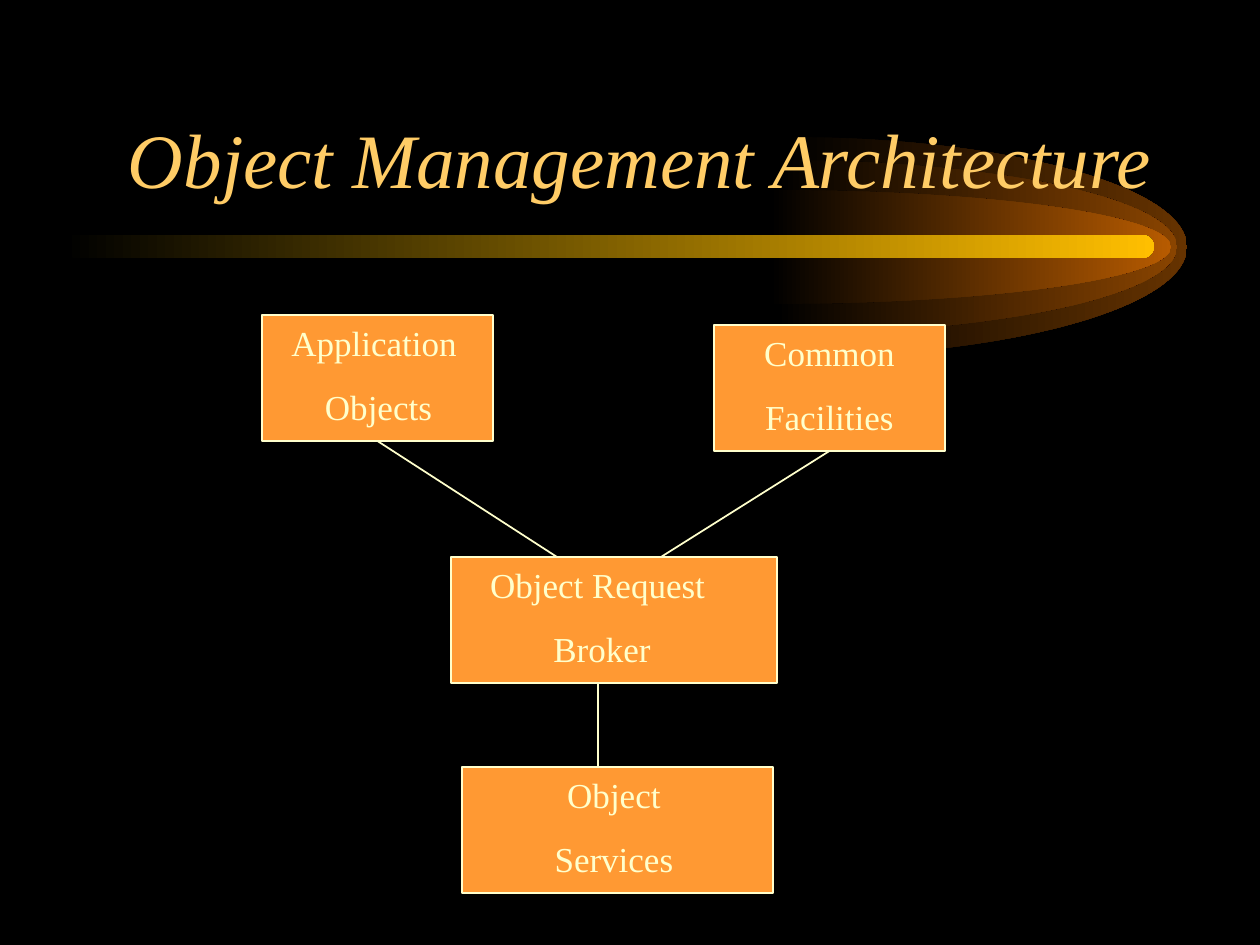
from lxml import etree
from pptx import Presentation
from pptx.dml.color import RGBColor
from pptx.enum.shapes import MSO_CONNECTOR, MSO_SHAPE
from pptx.enum.text import MSO_ANCHOR, PP_ALIGN
from pptx.oxml.ns import qn
from pptx.util import Emu, Pt

RECTANGLE = MSO_SHAPE.RECTANGLE
ROUNDED = MSO_SHAPE.ROUNDED_RECTANGLE
STRAIGHT = MSO_CONNECTOR.STRAIGHT
CENTER, RIGHT = PP_ALIGN.CENTER, PP_ALIGN.RIGHT
TOP, BOTTOM = MSO_ANCHOR.TOP, MSO_ANCHOR.BOTTOM

BLACK = RGBColor(0x00, 0x00, 0x00)
CREAM = RGBColor(0xFF, 0xFF, 0xCC)
ORANGE = RGBColor(0xFF, 0x99, 0x33)
GOLD = RGBColor(0xFF, 0xCC, 0x66)
AMBER = RGBColor(0xFF, 0xBF, 0x00)
DARK_BROWN = RGBColor(0x66, 0x33, 0x00)
BROWN = RGBColor(0x89, 0x44, 0x00)
RUST = RGBColor(0xB7, 0x5B, 0x00)

FONT = "Times New Roman"
PX_PER_INCH = 126
COMET_Y = 247
GLOW_WIDTH = 401
ROUNDNESS = 0.55  # control point distance for a quarter ellipse


def px(length):
    return Emu(round(length * 914400 / PX_PER_INCH))


def write_text(shape, lines, *, size, color, align, anchor=TOP, italic=False, gap=0):
    frame = shape.text_frame
    frame.word_wrap = True
    frame.vertical_anchor = anchor
    for index, line in enumerate(lines):
        para = frame.paragraphs[0] if index == 0 else frame.add_paragraph()
        para.alignment = align
        para.space_before = Pt(gap if index else 0)
        span = para.add_run()
        span.text = line
        span.font.name = FONT
        span.font.size = Pt(size)
        span.font.italic = italic
        span.font.color.rgb = color


def fade_from_black(shape, color):
    shape.shadow.inherit = False
    shape.line.fill.background()
    shape.fill.gradient()
    shape.fill.gradient_angle = 0
    for stop, stop_color in zip(shape.fill.gradient_stops, (BLACK, color)):
        stop.color.rgb = stop_color


def curve_segment(segment, points):
    """Turn a straight outline segment into a cubic curve."""
    curve = etree.Element(qn("a:cubicBezTo"))
    for x, y in points:
        etree.SubElement(curve, qn("a:pt"), x=str(round(x)), y=str(round(y)))
    segment.getparent().replace(segment, curve)


def add_glow(page, left, radius, color):
    """Right half of an ellipse, centred on the comet's axis."""
    width, half = px(GLOW_WIDTH), px(radius)
    builder = page.shapes.build_freeform(px(left), px(COMET_Y - radius))
    builder.add_line_segments([(px(left + GLOW_WIDTH), px(COMET_Y)),
                               (px(left), px(COMET_Y + radius))], close=True)
    glow = builder.convert_to_shape()
    upper, lower = list(glow.element.iter(qn("a:lnTo")))
    reach, rise = width * ROUNDNESS, half * ROUNDNESS
    curve_segment(upper, [(reach, 0), (width, half - rise), (width, half)])
    curve_segment(lower, [(width, half + rise), (reach, 2 * half), (0, 2 * half)])
    fade_from_black(glow, color)


def add_comet(page):
    add_glow(page, 786, 110, DARK_BROWN)
    add_glow(page, 776, 87, BROWN)
    add_glow(page, 770, 57, RUST)
    bar = page.shapes.add_shape(ROUNDED, px(63), px(235), px(1091), px(23))
    bar.adjustments[0] = 0.5
    fade_from_black(bar, AMBER)


def add_title(page, text):
    title = page.shapes.title
    title.left, title.top, title.width, title.height = map(px, (94, 53, 1071, 157))
    write_text(title, [text], size=44, color=GOLD, align=RIGHT,
               anchor=BOTTOM, italic=True)
    # Bring the title in front of the comet
    title.element.getparent().append(title.element)


def add_component(page, lines, left, top, width, label_left, label_width):
    box = page.shapes.add_shape(RECTANGLE, px(left), px(top), px(width), px(126))
    box.shadow.inherit = False
    box.fill.solid()
    box.fill.fore_color.rgb = ORANGE
    box.line.color.rgb = CREAM
    box.line.width = Pt(1)
    label = page.shapes.add_textbox(px(label_left), px(top), px(label_width), px(118))
    write_text(label, lines, size=20, color=CREAM, align=CENTER, gap=12.5)
    return box


def add_link(page, start, end, source=None):
    link = page.shapes.add_connector(STRAIGHT, *map(px, start + end))
    link.line.color.rgb = CREAM
    link.line.width = Pt(1)
    etree.SubElement(link.element.spPr, qn("a:effectLst"))
    if source is not None:
        link.begin_connect(source, 2)


def main():
    deck = Presentation()
    deck.slide_width, deck.slide_height = px(1260), px(945)
    page = deck.slides.add_slide(deck.slide_layouts[5])
    page.background.fill.solid()
    page.background.fill.fore_color.rgb = BLACK

    # Heading with comet decoration
    add_comet(page)
    add_title(page, "Object Management Architecture")

    # Architecture components
    application = add_component(page, ["Application ", "Objects"],
                                262, 315, 231, 242, 273)
    common = add_component(page, ["Common", "Facilities"],
                           714, 325, 231, 693, 273)
    add_component(page, ["Object Request ", "Broker"], 451, 557, 326, 410, 384)
    add_component(page, ["Object", "Services"], 462, 767, 311, 430, 368)

    # Links to and from the broker
    add_link(page, (378, 441), (557, 557), application)
    add_link(page, (829, 451), (661, 557), common)
    add_link(page, (598, 683), (598, 767))

    deck.save("out.pptx")


if __name__ == "__main__":
    main()
